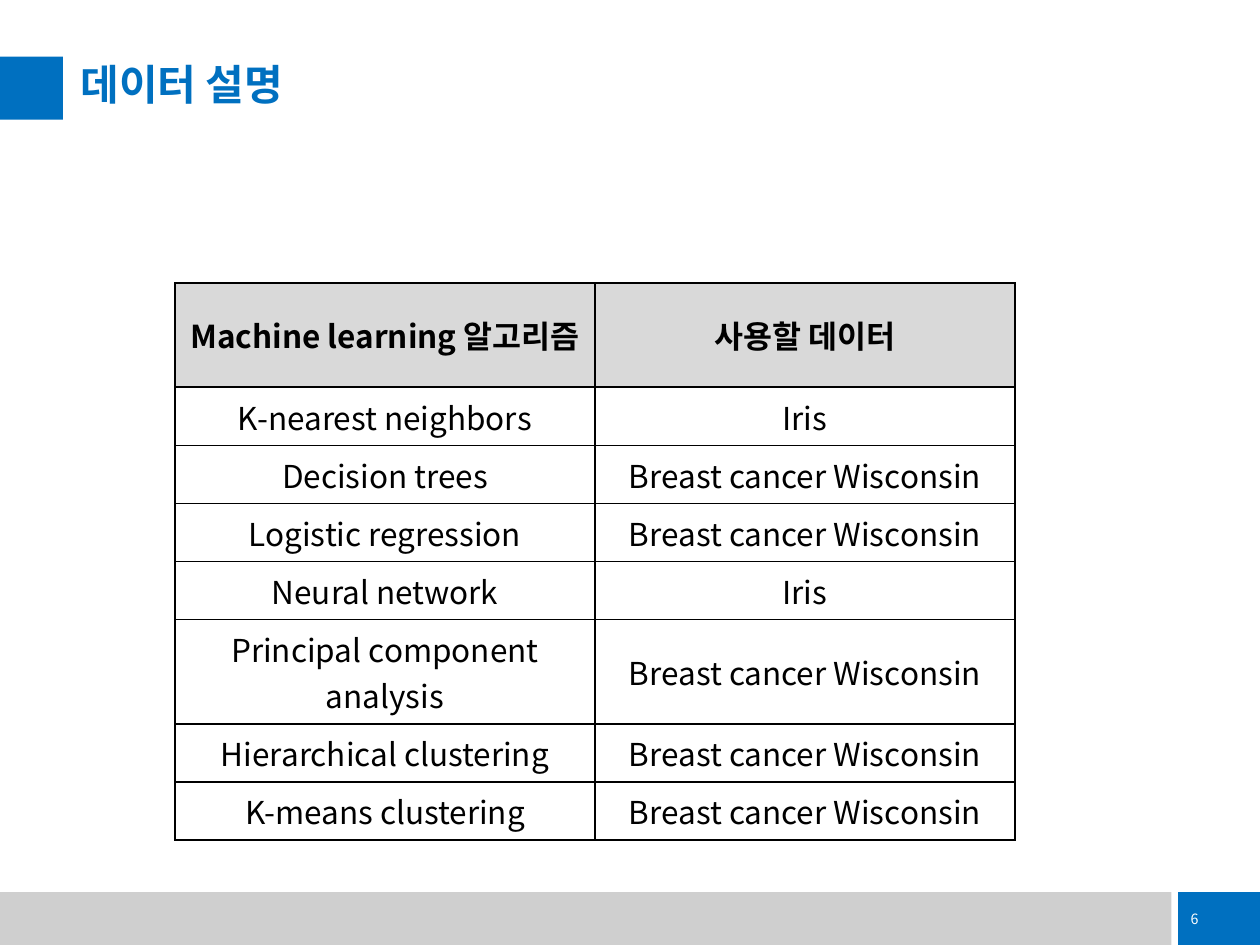
import pptx
import pptx.dml.color
import pptx.enum.shapes
import pptx.enum.text
import pptx.oxml.ns
import pptx.util
from lxml import etree

Pt = pptx.util.Pt
RGBColor = pptx.dml.color.RGBColor
ALIGN = pptx.enum.text.PP_ALIGN
MIDDLE = pptx.enum.text.MSO_ANCHOR.MIDDLE
qn = pptx.oxml.ns.qn

BLUE = RGBColor(0x00, 0x70, 0xC0)
GRAY = RGBColor(0xCF, 0xCF, 0xCF)
HEADER = RGBColor(0xD9, 0xD9, 0xD9)
BLACK = RGBColor(0x00, 0x00, 0x00)
WHITE = RGBColor(0xFF, 0xFF, 0xFF)
FONT = "Noto Sans CJK KR"

CANCER = "Breast cancer Wisconsin"
ROWS = [
    ("Machine learning 알고리즘", "사용할 데이터"),
    ("K-nearest neighbors", "Iris"),
    ("Decision trees", CANCER),
    ("Logistic regression", CANCER),
    ("Neural network", "Iris"),
    ("Principal component analysis", CANCER),
    ("Hierarchical clustering", CANCER),
    ("K-means clustering", CANCER),
]
ONE_LINE, TWO_LINES = 33.25, 59.45
HEIGHTS = [TWO_LINES if i in (0, 5) else ONE_LINE for i in range(len(ROWS))]


def put_text(tf, text, size=18, color=BLACK, bold=False, align=ALIGN.LEFT, spacing=None):
    p = tf.paragraphs[0]
    p.alignment = align
    p.line_spacing = spacing
    r = p.add_run()
    r.text = text
    r.font.size = Pt(size)
    r.font.name = FONT
    r.font.bold = bold
    r.font.color.rgb = color


def set_borders(cell, width=1, color=BLACK):
    tcPr = cell._tc.get_or_add_tcPr()
    for side in ("lnL", "lnR", "lnT", "lnB"):
        ln = etree.SubElement(tcPr, qn(f"a:{side}"), w=str(Pt(width)))
        fill = etree.SubElement(ln, qn("a:solidFill"))
        etree.SubElement(fill, qn("a:srgbClr"), val=str(color))


class Deck:
    def __init__(self, width, height):
        self.prs = pptx.Presentation()
        self.prs.slide_width, self.prs.slide_height = Pt(width), Pt(height)
        self.s = self.prs.slides.add_slide(self.prs.slide_layouts[6])

    def rect(self, x, y, w, h, color):
        kind = pptx.enum.shapes.MSO_SHAPE.RECTANGLE
        sp = self.s.shapes.add_shape(kind, Pt(x), Pt(y), Pt(w), Pt(h))
        sp.shadow.inherit = False
        sp.fill.solid()
        sp.fill.fore_color.rgb = color
        sp.line.fill.background()
        return sp

    def text(self, x, y, w, h, text, **fmt):
        tf = self.s.shapes.add_textbox(Pt(x), Pt(y), Pt(w), Pt(h)).text_frame
        tf.word_wrap = True
        tf.margin_left = tf.margin_right = tf.margin_top = tf.margin_bottom = 0
        put_text(tf, text, **fmt)

    def table(self, x, y, w, heights, rows):
        n, m = len(rows), len(rows[0])
        tbl = self.s.shapes.add_table(n, m, Pt(x), Pt(y), Pt(w), Pt(sum(heights))).table
        for row, height, values in zip(tbl.rows, heights, rows):
            row.height = Pt(height)
            head = values is rows[0]
            for cell, value in zip(row.cells, values):
                set_borders(cell)
                cell.fill.solid()
                cell.fill.fore_color.rgb = HEADER if head else WHITE
                cell.vertical_anchor = MIDDLE
                put_text(cell.text_frame, value, bold=head, align=ALIGN.CENTER)


def main():
    d = Deck(720, 540)

    # Footer with page number
    d.rect(0, 509.8, 669.4, 30.2, GRAY)
    page = d.rect(673.2, 509.8, 46.8, 30.2, BLUE).text_frame
    page.word_wrap = False
    page.vertical_anchor = MIDDLE
    put_text(page, "6", size=8.1, color=WHITE)

    # Title
    d.rect(0, 32.4, 36, 36, BLUE)
    d.text(46, 36.5, 648.7, 27.4, "데이터 설명", size=24, color=BLUE, bold=True, spacing=0.9)

    # Algorithms and their datasets
    d.table(100, 161.8, 480, HEIGHTS, ROWS)

    d.prs.save("out.pptx")


if __name__ == "__main__":
    main()
